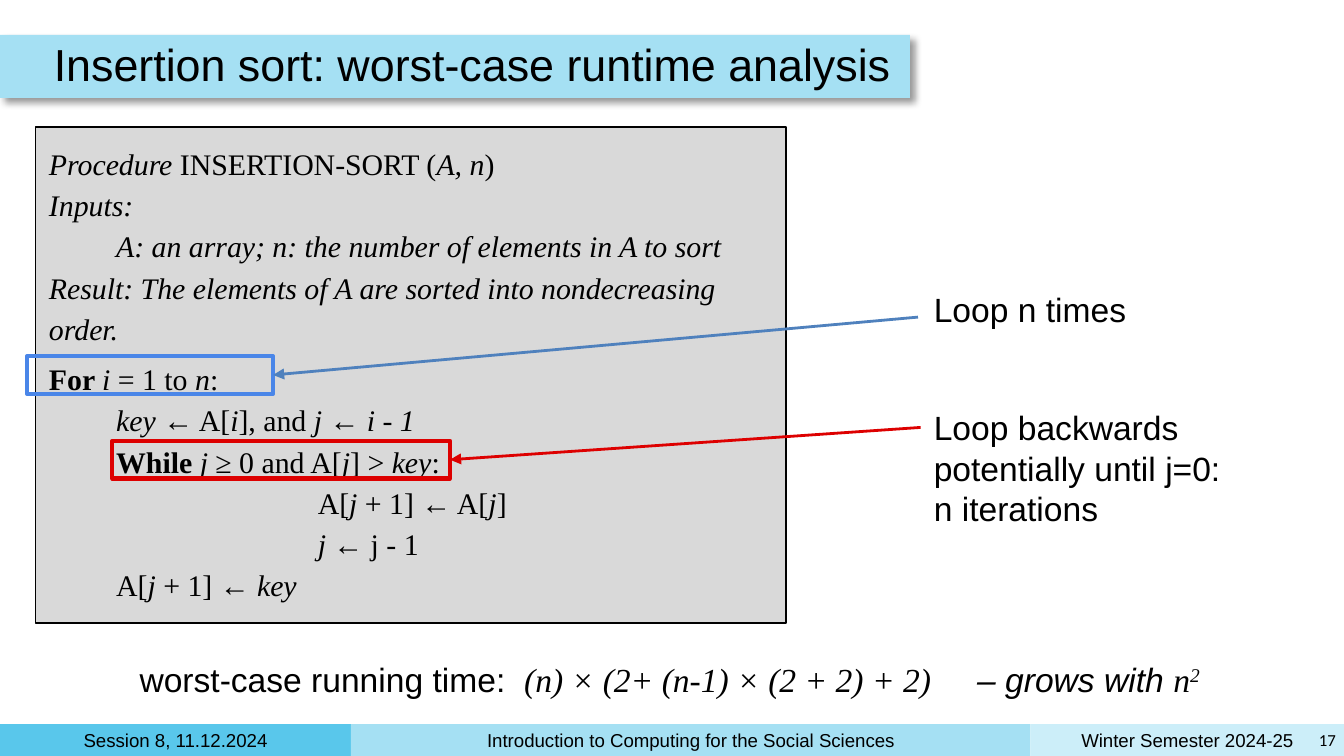
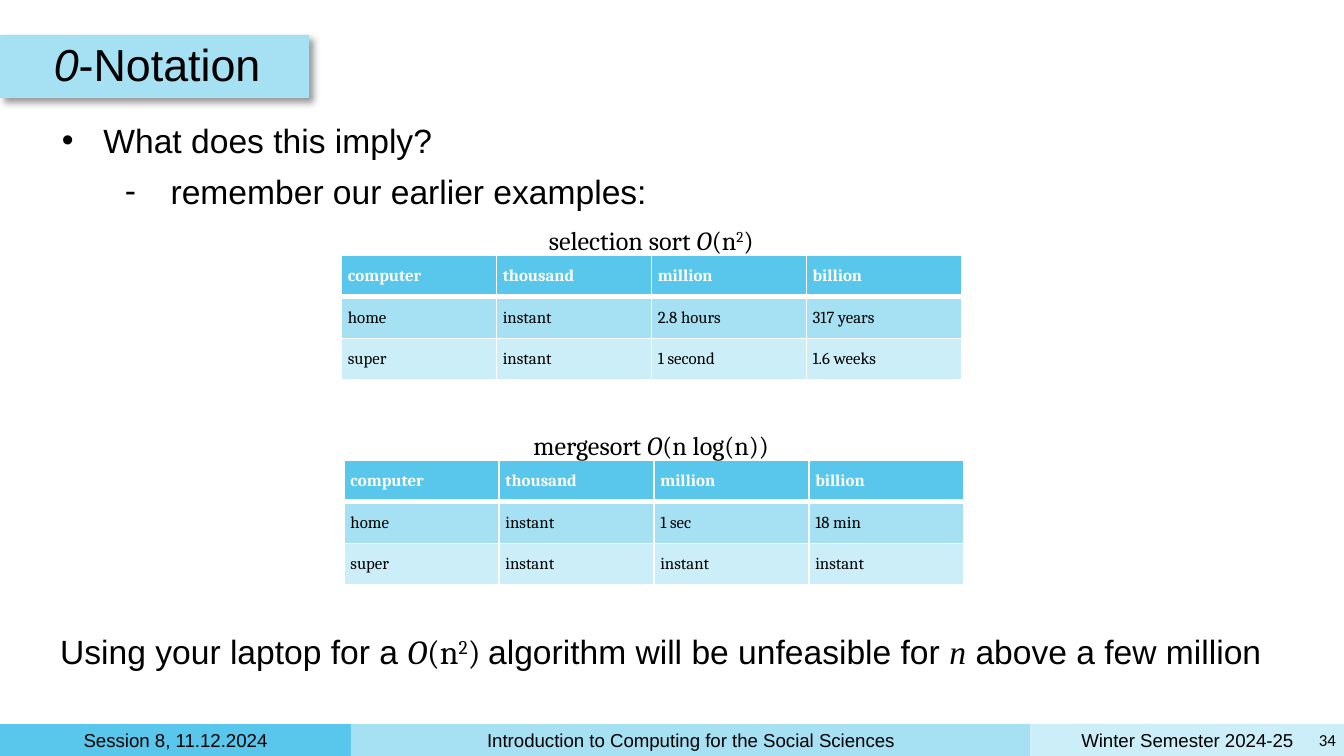
"""Build two lecture slides on the runtime of sorting algorithms."""
from dataclasses import dataclass
from itertools import groupby, pairwise

from lxml.etree import SubElement
from pptx import Presentation
from pptx.dml.color import RGBColor
from pptx.enum.shapes import MSO_CONNECTOR as Connector, MSO_SHAPE as Preset
from pptx.enum.text import MSO_ANCHOR as Anchor, MSO_AUTO_SIZE as AutoSize, PP_ALIGN as Align
from pptx.oxml.ns import qn
from pptx.util import Pt


@dataclass(frozen=True)
class Theme:
    strong: str = "59C7EB"
    medium: str = "A5E0F3"
    light: str = "CCEEF9"
    ink: str = "000000"
    white: str = "FFFFFF"
    code_fill: str = "D9D9D9"
    for_box: str = "4A86E8"
    for_arrow: str = "4F81BD"
    while_mark: str = "DD0000"
    sans: str = "Arial"
    serif: str = "Times New Roman"
    math: str = "Cambria"
    number: str = "Calibri"
    title_size: int = 24
    body_size: int = 18
    code_size: int = 16
    caption_size: int = 14
    footer_size: int = 10
    small_size: int = 9


THEME = Theme()
MARKS = "_*^~`|"

FOOTER = ["Session 8, 11.12.2024", "Introduction to Computing for the Social Sciences",
          "Winter Semester 2024-25"]
FOOTER_FILLS = [THEME.strong, THEME.medium, THEME.light]
FOOTER_EDGES = [0, 188, 552, 720]

INSERTION = {"title": "Insertion sort: worst-case runtime analysis", "band": 487.5, "page": "17"}
PROCEDURE = [
    ("_Procedure_ INSERTION-SORT (_A, n_)", {}),
    ("_Inputs:_", {}),
    ("_A: an array; n: the number of elements in A to sort_", {"left": 36}),
    ("_Result: The elements of A are sorted into nondecreasing order._", {}),
    ("*For *_i_ = 1 to _n_:", {"before": 5}),
    ("_key _← A[_i_], and _j_ ← _i - 1_", {"left": 36}),
    ("*While *_j_ ≥ 0 and A[_j_] > _key_:", {"left": 36}),
    ("A[_j _+ 1] ← A[_j_]", {"left": 144}),
    ("_j_ ← j _- _1", {"left": 144}),
    ("A[_j _+ 1] ← _key_", {"left": 36}),
]
LOOPS = [
    {"note": [("Loop n times", {})], "note_at": (493.2, 147.6, 211.7, 36),
     "box": (14.5, 190.8, 131.8, 20.2), "start": (491.8, 169.9),
     "outline": THEME.for_box, "arrow": THEME.for_arrow},
    {"note": [("Loop backwards potentially until j=0:", {}), ("n iterations", {})],
     "note_at": (493.2, 211, 211.7, 80),
     "box": (60.2, 236.2, 180.9, 20.2), "start": (493.2, 229),
     "outline": THEME.while_mark, "arrow": THEME.while_mark},
]
RUNNING_TIME = [("worst-case running time:| |~_(n) × (2+ (n-1) × (2 + 2) + 2)_~| |"
                 "_– grows with ~n^2^~_", {"gaps": (5, 19.5)})]

NOTATION = {"title": "_0_-Notation", "band": 165.6, "page": "34"}
IMPLICATION = [
    ("What does this imply?", {"left": 22.3, "first": -23.8, "bullet": "•"}),
    ("remember our earlier examples:",
     {"left": 58.3, "first": -24.5, "bullet": "-", "before": 6, "level": 1}),
]
HEADER = ["computer", "thousand", "million", "billion"]
TIMINGS = [
    ("selection sort _O_(n^2^)", (183, 136.8),
     [HEADER, ["home", "instant", "2.8 hours", "317 years"],
      ["super", "instant", "1 second", "1.6 weeks"]]),
    ("mergesort _O_(n log(n))", (184.4, 246.6),
     [HEADER, ["home", "instant", "1 sec", "18 min"],
      ["super", "instant", "instant", "instant"]]),
]
CONCLUSION = [("Using your laptop for a `_O_(n^2^) `algorithm will be unfeasible for "
               "~_n_~ above a few million", {})]


def rgb(color):
    return RGBColor.from_string(color)


def points(values):
    return [Pt(value) for value in values]


def marked_runs(text):
    active = set()
    for mark, letters in groupby(text, lambda letter: letter if letter in MARKS else ""):
        if mark:
            active = active ^ {mark}
        else:
            yield "".join(letters), active


def indent(paragraph, left=0, first=0, bullet=None):
    props = paragraph._p.get_or_add_pPr()
    props.set("marL", str(Pt(left)))
    props.set("indent", str(Pt(first)))
    if bullet:
        color = SubElement(props, qn("a:buClr"))
        SubElement(color, qn("a:srgbClr"), val=THEME.ink)
        SubElement(props, qn("a:buFont"), typeface=THEME.sans)
        SubElement(props, qn("a:buChar"), char=bullet)
    else:
        SubElement(props, qn("a:buNone"))


def write(frame, lines, size=THEME.body_size, font=THEME.sans, color=THEME.ink, bold=False,
          align=Align.LEFT, anchor=Anchor.TOP, inset=(7.2, 7.2), spacing=1.0):
    if isinstance(lines, str):
        lines = [(lines, {})]
    frame.word_wrap = True
    frame.vertical_anchor = anchor
    frame.margin_left = frame.margin_right = Pt(inset[0])
    frame.margin_top = frame.margin_bottom = Pt(inset[1])
    for index, (text, layout) in enumerate(lines):
        layout = dict(layout)
        gaps = iter(layout.pop("gaps", ()))
        paragraph = frame.add_paragraph() if index else frame.paragraphs[0]
        paragraph.alignment = align
        paragraph.line_spacing = spacing
        paragraph.space_before = Pt(layout.pop("before", 0))
        paragraph.level = layout.pop("level", 0)
        indent(paragraph, **layout)
        for piece, marks in marked_runs(text):
            run = paragraph.add_run()
            run.text = piece
            run.font.size = Pt(size)
            run.font.name = THEME.serif if "~" in marks else THEME.math if "`" in marks else font
            run.font.color.rgb = rgb(color)
            run.font.bold = bold or "*" in marks
            run.font.italic = "_" in marks
            if "^" in marks:
                run._r.get_or_add_rPr().set("baseline", "30000")
            if "|" in marks:
                run._r.get_or_add_rPr().set("spc", str(int(next(gaps) * 100)))


def add_box(slide, at, fill=None, line=None, width=0.75):
    box = slide.shapes.add_shape(Preset.RECTANGLE, *points(at))
    box.shadow.inherit = False
    if fill:
        box.fill.solid()
        box.fill.fore_color.rgb = rgb(fill)
    else:
        box.fill.background()
    if line:
        box.line.color.rgb = rgb(line)
        box.line.width = Pt(width)
    else:
        box.line.fill.background()
    return box


def add_text(slide, at, lines, **look):
    box = slide.shapes.add_textbox(*points(at))
    write(box.text_frame, lines, **look)


def place(placeholder, at, lines, **look):
    placeholder.left, placeholder.top, placeholder.width, placeholder.height = points(at)
    placeholder.text_frame.auto_size = AutoSize.NONE
    write(placeholder.text_frame, lines, **look)


def start_slide(deck, layout, title, band, page):
    slide = deck.slides.add_slide(deck.slide_layouts[layout])
    for label, fill, (left, right) in zip(FOOTER, FOOTER_FILLS, pairwise(FOOTER_EDGES)):
        section = add_box(slide, (left, 388, right - left, 17), fill)
        write(section.text_frame, label, size=THEME.footer_size, align=Align.CENTER,
              anchor=Anchor.MIDDLE, inset=(3.6, 3.6))
    add_text(slide, (702, 387.4, 17.3, 18), page, size=THEME.small_size, font=THEME.number,
             align=Align.RIGHT, anchor=Anchor.MIDDLE, inset=(3.6, 3.6))

    ribbon = add_box(slide, (0, 18.75, band, 33.75), THEME.medium)
    effects = ribbon.element.spPr.find(qn("a:effectLst"))
    shadow = SubElement(effects, qn("a:outerShdw"), blurRad=str(Pt(4)), dist=str(Pt(3)),
                        dir="2700000", algn="tl", rotWithShape="0")
    tint = SubElement(shadow, qn("a:srgbClr"), val=THEME.ink)
    SubElement(tint, qn("a:alpha"), val="40000")
    place(slide.shapes.title, (25.2, 18.75, 619, 33.75), title, size=THEME.title_size,
          anchor=Anchor.MIDDLE, inset=(3.6, 3.6), spacing=0.9)
    ribbon.element.addnext(slide.shapes.title.element)
    return slide


def add_arrow(slide, start, target, color):
    end = (target.left + target.width, target.top + target.height // 2)
    arrow = slide.shapes.add_connector(Connector.STRAIGHT, *points(start), *end)
    arrow.end_connect(target, 3)
    arrow.line.color.rgb = rgb(color)
    arrow.line.width = Pt(1.5)
    props = arrow.element.spPr
    SubElement(props.find(qn("a:ln")), qn("a:tailEnd"), type="triangle")
    SubElement(props, qn("a:effectLst"))


def add_borders(cell, **widths):
    props = cell._tc.get_or_add_tcPr()
    for side, width in widths.items():
        border = SubElement(props, qn(f"a:ln{side}"), w=str(Pt(width)))
        SubElement(SubElement(border, qn("a:solidFill")), qn("a:srgbClr"), val=THEME.white)


def add_timings(slide, corner, rows):
    column_width, row_height = 83, 22.3
    size = (column_width * len(HEADER), row_height * len(rows))
    table = slide.shapes.add_table(len(rows), len(HEADER), *points(corner + size)).table
    table.horz_banding = False
    for r, (values, fill) in enumerate(zip(rows, FOOTER_FILLS)):
        table.rows[r].height = Pt(row_height)
        for c, value in enumerate(values):
            cell = table.cell(r, c)
            add_borders(cell, L=1, R=1, T=3 if r == 1 else 1, B=3 if r == 0 else 1)
            cell.fill.solid()
            cell.fill.fore_color.rgb = rgb(fill)
            write(cell.text_frame, value, size=THEME.small_size, font=THEME.math,
                  color=THEME.ink if r else THEME.white, bold=r == 0)
            cell.vertical_anchor = Anchor.MIDDLE
            cell.margin_left = cell.margin_right = Pt(3.4)
            cell.margin_top = cell.margin_bottom = Pt(2.7)


def build_insertion(deck):
    slide = start_slide(deck, 5, **INSERTION)
    code = add_box(slide, (19.2, 68, 402, 265.8), THEME.code_fill, THEME.ink)
    write(code.text_frame, PROCEDURE, size=THEME.code_size, font=THEME.serif, spacing=1.15)
    for loop in LOOPS:
        outline = add_box(slide, loop["box"], line=loop["outline"], width=2.25)
        add_arrow(slide, loop["start"], outline, loop["arrow"])
        add_text(slide, loop["note_at"], loop["note"])
    add_text(slide, (67.7, 346, 600, 36), RUNNING_TIME)


def build_notation(deck):
    slide = start_slide(deck, 1, **NOTATION)
    place(slide.placeholders[1], (29.5, 60.5, 661.7, 56.9), IMPLICATION, inset=(3.6, 3.6))
    for caption, corner, rows in TIMINGS:
        add_timings(slide, corner, rows)
        add_text(slide, (186.5, corner[1] - 20.4, 324.7, 24.5), caption,
                 size=THEME.caption_size, font=THEME.math, align=Align.CENTER,
                 anchor=Anchor.MIDDLE, inset=(3.6, 3.6))
    add_text(slide, (25.2, 331, 679.7, 36), CONCLUSION)


def main():
    deck = Presentation()
    deck.slide_width, deck.slide_height = Pt(720), Pt(405)
    build_insertion(deck)
    build_notation(deck)
    deck.save("out.pptx")


if __name__ == "__main__":
    main()
